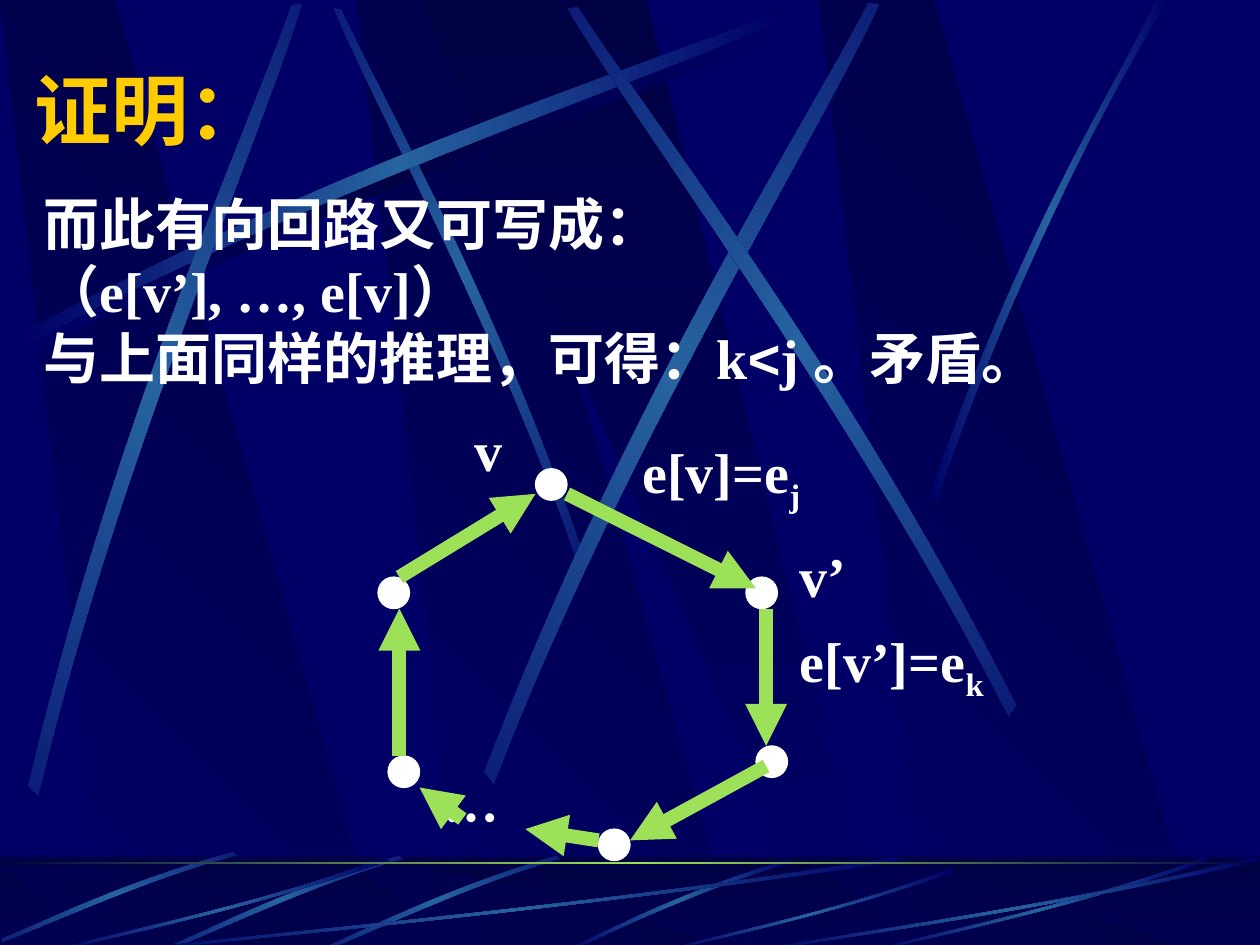
from lxml.etree import SubElement
from pptx import Presentation
from pptx.dml.color import RGBColor
from pptx.enum.shapes import MSO_CONNECTOR, MSO_SHAPE
from pptx.enum.text import MSO_ANCHOR, MSO_AUTO_SIZE, PP_ALIGN
from pptx.oxml.ns import qn
from pptx.util import Inches, Pt

NAVY, DARK, STEEL, GREEN = "000066", "000044", "2663A0", "9CE157"
WHITE, GOLD = "FFFFFF", "FFCC00"
SERIF, SANS, CHINESE = "Times New Roman", "Arial", "Noto Sans CJK SC"

PANEL = [(0.86, 1), (3.02, 1), (0.91, 0), (0, 0)]
WIDE_PANEL = [(3.33, 0), (6.58, 1), (6.94, 1), (5.13, 0)]
PANEL_LEFTS = (2.83, 0, 6.5)

RISING = [(0, 0.96), (0.43, 0.43), (0.83, 0.15), (0.99, 0),
          (1, 0.02), (0.84, 0.19), (0.39, 0.52), (0, 1)]
FALLING = [(1 - x, y) for x, y in RISING]
STEEP = [(0, 0.99), (0.4, 0.44), (0.79, 0.17), (0.95, 0),
         (1, 0), (0.52, 0.37), (0.16, 0.81), (0.03, 1)]
SHORT = [(0.99, 0), (0.49, 0.37), (0.16, 0.82), (0, 0.99),
         (0.03, 1), (0.23, 0.75), (0.68, 0.25), (1, 0.04)]
FLAT = [(1, 0.04), (0.57, 0.57), (0.17, 0.85), (0.01, 1),
        (0, 0.99), (0.17, 0.81), (0.62, 0.51), (0.99, 0)]
WALL_STREAKS = [
    (FALLING, (1.41, 1.35, 4.42, 1.75), 45),
    (RISING, (0.14, 0.1, 6.08, 2.67), 0),
    (RISING, (-1.71, 1.82, 6.08, 2.67), 311.7),
    (RISING, (2.31, 1.6, 6.24, 3.01), 321.6),
    (FALLING, (3.23, 1.52, 6.08, 2.67), 34.8),
    (STEEP, (7.38, 0, 1.89, 3.97), 0),
]
FLOOR_STREAKS = [
    (SHORT, (4.48, 6.82, 1.8, 0.73), 0),
    (FALLING, (2.58, 6.76, 1.84, 0.83), 314.9),
    (FALLING, (1.33, 6.76, 1.84, 0.83), 314.9),
    (FALLING, (0.04, 6.7, 1.8, 0.85), 314.9),
    (FLAT, (1, 6.8, 6.17, 0.75), 0),
    (FLAT, (0.42, 6.8, 2.67, 0.75), 0),
    (FLAT, (5.27, 6.89, 2.31, 0.66), 0),
    (FLAT, (6.92, 6.8, 2.67, 0.75), 0),
    (FLAT, (6, 6.8, 4, 0.75), 0),
]

NODES = [(4.25, 3.72), (5.92, 4.58), (6, 5.92), (3, 4.58), (3.08, 6), (4.75, 6.58)]
EDGES = [((4.5, 3.92), (6, 4.67)), ((6.08, 4.83), (6.08, 5.92)),
         ((6.08, 6.08), (5, 6.67)), ((4.75, 6.67), (4.17, 6.58)),
         ((3.67, 6.5), (3.33, 6.25)), ((3.17, 6), (3.17, 4.83)),
         ((3.17, 4.58), (4.25, 3.92))]


def color(value):
    """Turn a hex string into a colour."""
    return RGBColor.from_string(value)


def place(points, left, top, width, height):
    """Scale points and move them to a corner."""
    return [(left + x * width, top + y * height) for x, y in points]


def add_text(paragraph, text, size=32, font=SERIF, fill=WHITE, baseline=0):
    """Add a bold run to a paragraph."""
    run = paragraph.add_run()
    run.text = text
    run.font.size, run.font.bold, run.font.name = Pt(size), True, font
    run.font.color.rgb = color(fill)
    properties = run.font._element
    SubElement(properties, qn("a:ea")).set("typeface", CHINESE)
    if baseline:
        properties.set("baseline", str(baseline * 1000))


class SlideBuilder:
    """Hold the style and the current slide."""

    def __init__(self, presentation):
        """Add a title-only slide with a plain background."""
        self.master = presentation.slide_master
        self.slide = presentation.slides.add_slide(presentation.slide_layouts[5])
        self.shapes = self.slide.shapes
        self.slide.background.fill.solid()
        self.slide.background.fill.fore_color.rgb = color(NAVY)

    def paint(self, shape, colors, angle=0):
        """Fill a shape with one colour or an even gradient, without outline."""
        shape.shadow.inherit = False
        shape.line.fill.background()
        if len(colors) == 1:
            shape.fill.solid()
            shape.fill.fore_color.rgb = color(colors[0])
            return
        shape.fill.gradient()
        shape.fill.gradient_angle = -angle % 360
        stops = shape._element.spPr.find(qn("a:gradFill")).find(qn("a:gsLst"))
        for stop in list(stops):
            stops.remove(stop)
        for index, value in enumerate(colors):
            stop = SubElement(stops, qn("a:gs"))
            stop.set("pos", str(100000 * index // (len(colors) - 1)))
            SubElement(stop, qn("a:srgbClr")).set("val", value)

    def polygon(self, points, colors, angle):
        """Draw a closed outline."""
        first, *others = [(Inches(x), Inches(y)) for x, y in points]
        builder = self.shapes.build_freeform(*first)
        builder.add_line_segments(others, close=True)
        shape = builder.convert_to_shape()
        self.paint(shape, colors, angle)
        return shape

    def streak(self, points, box, rotation=0, middle=STEEL):
        """Draw a curved light ray that fades at both ends."""
        shape = self.polygon(place(points, *box), (NAVY, middle, NAVY), 180)
        segments = list(shape._element.iter(qn("a:lnTo")))
        for start in (0, 4):
            bend, *others = segments[start:start + 3]
            curve = bend.makeelement(qn("a:cubicBezTo"))
            bend.addprevious(curve)
            for segment in (bend, *others):
                curve.append(segment[0])
                segment.getparent().remove(segment)
        shape.rotation = rotation

    def panels(self, top, height):
        """Draw the row of slanted background panels."""
        for left in PANEL_LEFTS:
            self.polygon(place(PANEL, left, top, 1, height), (DARK, NAVY), 135)
        self.polygon(place(WIDE_PANEL, 0, top, 1, height), (DARK, NAVY), 90)

    def preset(self, kind, box, colors, angle=0):
        """Draw a preset shape."""
        shape = self.shapes.add_shape(kind, *map(Inches, box))
        self.paint(shape, colors, angle)
        return shape

    def move_to_master(self):
        """Move everything but the title to the slide master."""
        scenery = [shape for shape in self.shapes if not shape.is_placeholder]
        for index, shape in enumerate(scenery):
            next(shape._element.iter(qn("p:cNvPr"))).set("id", str(100 + index))
            self.master.shapes._spTree.insert(2 + index, shape._element)

    def title(self, text, box):
        """Place and format the title."""
        shape = self.shapes.title
        shape.left, shape.top, shape.width, shape.height = map(Inches, box)
        frame = shape.text_frame
        frame.auto_size = MSO_AUTO_SIZE.NONE
        frame.vertical_anchor = MSO_ANCHOR.MIDDLE
        frame.margin_top, frame.margin_bottom = Inches(0.09), 0
        paragraph = frame.paragraphs[0]
        paragraph.alignment = PP_ALIGN.LEFT
        paragraph.line_spacing = Pt(50.5)
        add_text(paragraph, text, size=44, fill=GOLD)

    def text(self, lines, box, wrap=True, spacing=None, margin_top=0.05):
        """Add a text box from lines made of (text, format) runs."""
        frame = self.shapes.add_textbox(*map(Inches, box)).text_frame
        frame.word_wrap = wrap
        frame.margin_top = Inches(margin_top)
        for index, runs in enumerate(lines):
            paragraph = frame.add_paragraph() if index else frame.paragraphs[0]
            if spacing:
                paragraph.line_spacing = Pt(spacing)
            for text, style in runs:
                add_text(paragraph, text, **style)

    def arrow(self, start, end):
        """Draw a thick arrow."""
        connector = self.shapes.add_connector(
            MSO_CONNECTOR.STRAIGHT, *map(Inches, start + end))
        connector.line.color.rgb = color(GREEN)
        connector.line.width = Pt(8)
        properties = connector._element.spPr
        SubElement(properties.find(qn("a:ln")), qn("a:tailEnd")).set("type", "triangle")
        SubElement(properties, qn("a:effectLst"))


def draw_background(builder):
    """Draw the wall, the floor and their light rays."""
    floor = (0, 6.8, 10, 0.75)
    builder.panels(0, 7.52)
    builder.streak(RISING, (0.2, 0.18, 6.08, 2.67), middle=DARK)
    for streak in WALL_STREAKS:
        builder.streak(*streak)
    builder.preset(MSO_SHAPE.RECTANGLE, floor, (DARK, NAVY), 90)
    builder.panels(6.88, 0.67)
    veil = builder.preset(MSO_SHAPE.RECTANGLE, floor, (DARK,))
    tint = veil._element.spPr.find(qn("a:solidFill"))[0]
    SubElement(tint, qn("a:alpha")).set("val", "50000")
    for streak in FLOOR_STREAKS:
        builder.streak(*streak)
    builder.preset(MSO_SHAPE.RECTANGLE, (0, 6.84, 10, 0.02), (DARK, GREEN, DARK), 180)
    builder.move_to_master()


def main():
    """Build and save the slide."""
    presentation = Presentation()
    presentation.slide_width, presentation.slide_height = Inches(10), Inches(7.5)
    builder = SlideBuilder(presentation)
    draw_background(builder)
    builder.title("证明：", (0.17, 0.41, 8.5, 0.84))
    builder.text([
        [("而此有向回路又可写成：", {})],
        [("（e[v’], …, e[v]）", {})],
        [("与上面同样的推理，可得：k", {}), ("<", {"font": SANS}), ("j 。矛盾。", {})],
    ], (0.25, 1.42, 9.58, 5.58), spacing=38.4, margin_top=0.08)
    builder.text([[("…", {"font": CHINESE})]], (3.42, 6.17, 0.64, 0.64), wrap=False)
    for left, top in NODES:
        node = builder.preset(MSO_SHAPE.OVAL, (left, top, 0.25, 0.25), (WHITE,))
        node.line.color.rgb = color(WHITE)
        node.line.width = Pt(0.75)
    builder.text([[("v", {})]], (3.67, 3.25, 0.42, 0.64), wrap=False)
    builder.text([[("v’", {})]], (6.25, 4.25, 0.83, 0.64))
    for label, index, box in (("e[v]=e", "j", (5, 3.42, 1.58, 0.71)),
                              ("e[v’]=e", "k", (6.25, 4.92, 1.83, 0.71))):
        builder.text([[(label, {}), (index, {"baseline": -25})]], box)
    for start, end in EDGES:
        builder.arrow(start, end)
    presentation.save("out.pptx")


if __name__ == "__main__":
    main()
